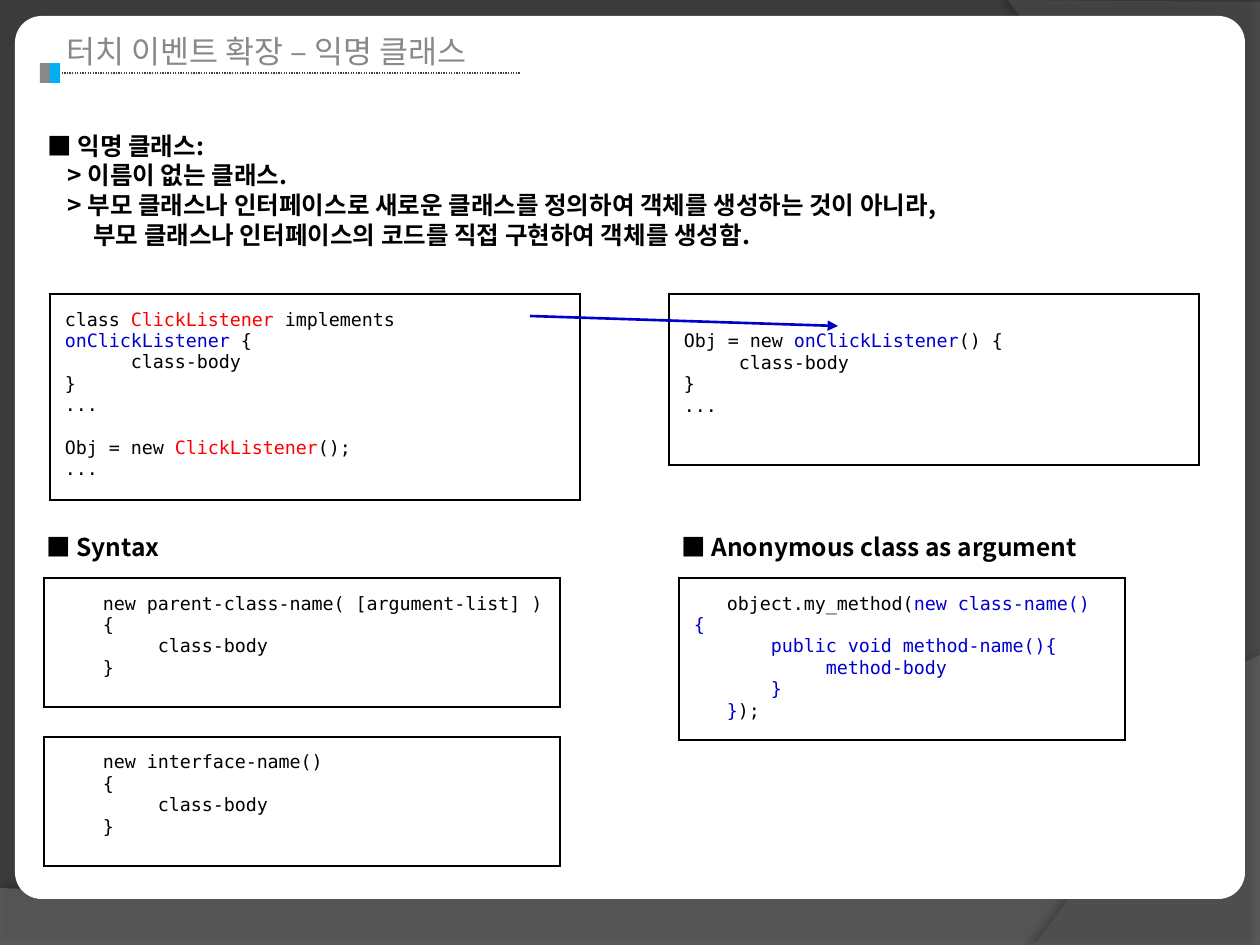
from lxml import etree
from pptx import Presentation
from pptx import util as u
from pptx.dml.color import RGBColor
from pptx.enum import dml, shapes, text
from pptx.oxml.ns import qn

SCALE = 914400 / 126
SANS, MONO = "Noto Sans CJK KR", "DejaVu Sans Mono"
BLACK, RED, BLUE, GREY = "000000", "FF0000", "0000CC", "898989"
CODE_COLUMN = 11  # width of one code character
PAD = 15


def px(length):
    return u.Emu(round(length * SCALE))


def color(value):
    return RGBColor.from_string(value)


def add_xml(parent, tag, **attributes):
    return etree.SubElement(parent, qn(tag), attributes)


def format_object(target, values):
    for name, value in values.items():
        setattr(target, name, value)


def add_span(para, words, size, font, ink=BLACK, bold=False):
    span = para.add_run()
    span.text = words
    format_object(span.font, {"size": u.Pt(size), "name": font, "bold": bold})
    span.font.color.rgb = color(ink)
    if font == SANS:
        add_xml(span.font._element, "a:ea", typeface=font)


def set_indent(para, length):
    para._p.get_or_add_pPr().set("indent", str(px(length)))


def next_para(frame, number):
    return frame.add_paragraph() if number else frame.paragraphs[0]


def paint(shape, fill):
    shape.shadow.inherit = False
    shape.fill.solid()
    shape.fill.fore_color.rgb = color(fill)
    shape.line.fill.background()


# Backdrop
def curve(start, first, second, end, steps=32):
    for step in range(1, steps + 1):
        t = step / steps
        weights = ((1 - t) ** 3, 3 * t * (1 - t) ** 2, 3 * t * t * (1 - t), t ** 3)
        yield tuple(sum(w * point[axis] for w, point in
                        zip(weights, (start, first, second, end)))
                    for axis in (0, 1))


def add_wave(page, corners, bend, fill, alpha, shadow):
    builder = page.shapes.build_freeform(*corners[0], scale=SCALE)
    builder.add_line_segments(corners[1:] + list(curve(corners[-1], *bend)))
    wave = builder.convert_to_shape()
    paint(wave, fill)
    tint = wave.fill._xPr.find(qn("a:solidFill"))[0]
    add_xml(tint, "a:alpha", val=str(alpha * 1000))
    strength, distance, direction = shadow
    effects = wave._element.spPr.find(qn("a:effectLst"))
    shade = add_xml(effects, "a:outerShdw", blurRad=str(u.Pt(4)),
                    dist=str(u.Pt(distance)), dir=str(direction * 60000))
    ink = add_xml(shade, "a:srgbClr", val=BLACK)
    add_xml(ink, "a:alpha", val=str(strength * 1000))


def add_backdrop(page, width, height):
    page.background.fill.solid()
    page.background.fill.fore_color.rgb = color("3B3B3B")
    add_wave(page, [(0, 888), (0, height), (width, height), (width, 655)],
             [(704, 919), (493, 906), (0, 888)], "7F7F7F", 45, (35, 3.5, 270))
    add_wave(page, [(width, 2), (width, height), (1034, height)],
             [(1178, 780), (1283, 378), (1008, 0)], "5E5E5E", 40, (45, 4, 180))
    card = page.shapes.add_shape(shapes.MSO_SHAPE.ROUNDED_RECTANGLE,
                                 px(15), px(16), px(1230), px(883))
    card.adjustments[0] = 0.03
    paint(card, "FFFFFF")


# Title with its underline and two-colour marker
def add_title(page, words, left, top, width, height):
    title = page.shapes.title
    format_object(title, {"left": px(left), "top": px(top),
                          "width": px(width), "height": px(height)})
    frame = title.text_frame
    format_object(frame, {"word_wrap": True, "auto_size": text.MSO_AUTO_SIZE.NONE,
                          "vertical_anchor": text.MSO_ANCHOR.TOP})
    frame.paragraphs[0].alignment = text.PP_ALIGN.LEFT
    add_span(frame.paragraphs[0], words, 18, "Arial", GREY)
    page.shapes._spTree.append(title._element)  # bring in front of the card

    group = page.shapes.add_group_shape()
    add_line(group, (left, top + 47), (left + 466, top + 47), "404040", 0.75,
             dash=dml.MSO_LINE.ROUND_DOT)
    for number, fill in enumerate((GREY, "00B0F0")):
        block = group.shapes.add_shape(shapes.MSO_SHAPE.RECTANGLE,
                                       px(left - 14 + 10 * number), px(top + 37),
                                       px(10), px(20))
        paint(block, fill)


def add_line(owner, start, end, ink, weight, dash=None, arrow=False):
    line = owner.shapes.add_connector(shapes.MSO_CONNECTOR.STRAIGHT,
                                      *map(px, start + end))
    line.line.color.rgb = color(ink)
    format_object(line.line, {"width": u.Pt(weight), "dash_style": dash})
    if arrow:
        add_xml(line.line._get_or_add_ln(), "a:tailEnd", type="triangle")
    add_xml(line._element.spPr, "a:effectLst")


# Bold text: each line is (indent, words)
def add_text(page, lines, left, top, width, height):
    box = page.shapes.add_textbox(*map(px, (left, top, width, height)))
    box.text_frame.word_wrap = True
    for number, (indent, words) in enumerate(lines):
        para = next_para(box.text_frame, number)
        para.line_spacing = u.Pt(17)
        set_indent(para, indent)
        add_span(para, words, 14, SANS, bold=True)


# Framed code: each line is (columns of indent, blank space above, spans)
def add_code(page, lines, left, top, width, height, head=0):
    holder = page.shapes.add_table(1, 1, *map(px, (left, top, width, height)))
    table = holder.table
    format_object(table, {"first_row": False, "horz_banding": False})
    cell = table.cell(0, 0)
    cell.fill.background()
    format_object(cell, {"margin_left": px(PAD), "margin_right": px(PAD),
                         "margin_top": px(PAD + head), "margin_bottom": px(PAD)})
    properties = cell._tc.get_or_add_tcPr()
    for place, side in enumerate("LRTB"):
        border = etree.Element(qn(f"a:ln{side}"), w=str(u.Pt(1)))
        add_xml(add_xml(border, "a:solidFill"), "a:srgbClr", val=BLACK)
        properties.insert(place, border)
    for number, (columns, above, spans) in enumerate(lines):
        para = next_para(cell.text_frame, number)
        set_indent(para, columns * CODE_COLUMN)
        para.space_before = u.Pt(above)
        for words, ink in spans:
            add_span(para, words, 10.5, MONO, ink)


def code(columns, *spans, above=0):
    return columns, above, [s if isinstance(s, tuple) else (s, BLACK) for s in spans]


def body(opening):
    return [code(4, opening), code(4, "{"), code(9, "class-body"), code(4, "}")]


def main():
    deck = Presentation()
    format_object(deck, {"slide_width": px(1260), "slide_height": px(945)})
    page = deck.slides.add_slide(deck.slide_layouts[5])
    add_backdrop(page, 1260, 945)
    add_title(page, "터치 이벤트 확장 – 익명 클래스", 54, 26, 714, 50)

    # Definition
    add_text(page, [
        (0, "■ 익명 클래스:"),
        (20, "> 이름이 없는 클래스."),
        (20, "> 부모 클래스나 인터페이스로 새로운 클래스를 정의하여 객체를 생성하는 것이 아니라,"),
        (46, "부모 클래스나 인터페이스의 코드를 직접 구현하여 객체를 생성함."),
    ], 35, 124, 1155, 131)

    # Named class turned into an anonymous one
    named, listener = ("ClickListener", RED), ("onClickListener", BLUE)
    add_code(page, [
        code(0, "class ", named, " implements ", listener, " {"),
        code(6, "class-body"), code(0, "}"), code(0, "..."),
        code(0, "Obj = new ", named, "();", above=12), code(0, "..."),
    ], 50, 294, 530, 206)
    add_code(page, [
        code(0, "Obj = new ", listener, "() {"),
        code(5, "class-body"), code(0, "}"), code(0, "..."),
    ], 669, 294, 530, 171, head=22)
    add_line(page, (530, 316), (838, 326), BLUE, 1.5, arrow=True)

    # Syntax
    add_text(page, [(0, "■ Syntax")], 34, 525, 407, 43)
    for number, opening in enumerate(("new parent-class-name( [argument-list] )",
                                      "new interface-name()")):
        add_code(page, body(opening), 44, 578 + 159 * number, 516, 129)

    # Anonymous class as argument
    add_text(page, [(0, "■ Anonymous class as argument")], 669, 525, 476, 43)
    add_code(page, [
        code(3, "object.my_method(", ("new class-name() {", BLUE)),
        code(7, ("public void method-name(){", BLUE)),
        code(12, ("method-body", BLUE)),
        code(7, ("}", BLUE)),
        code(3, ("}", BLUE), ");"),
    ], 679, 578, 446, 162)

    deck.save("out.pptx")


if __name__ == "__main__":
    main()
